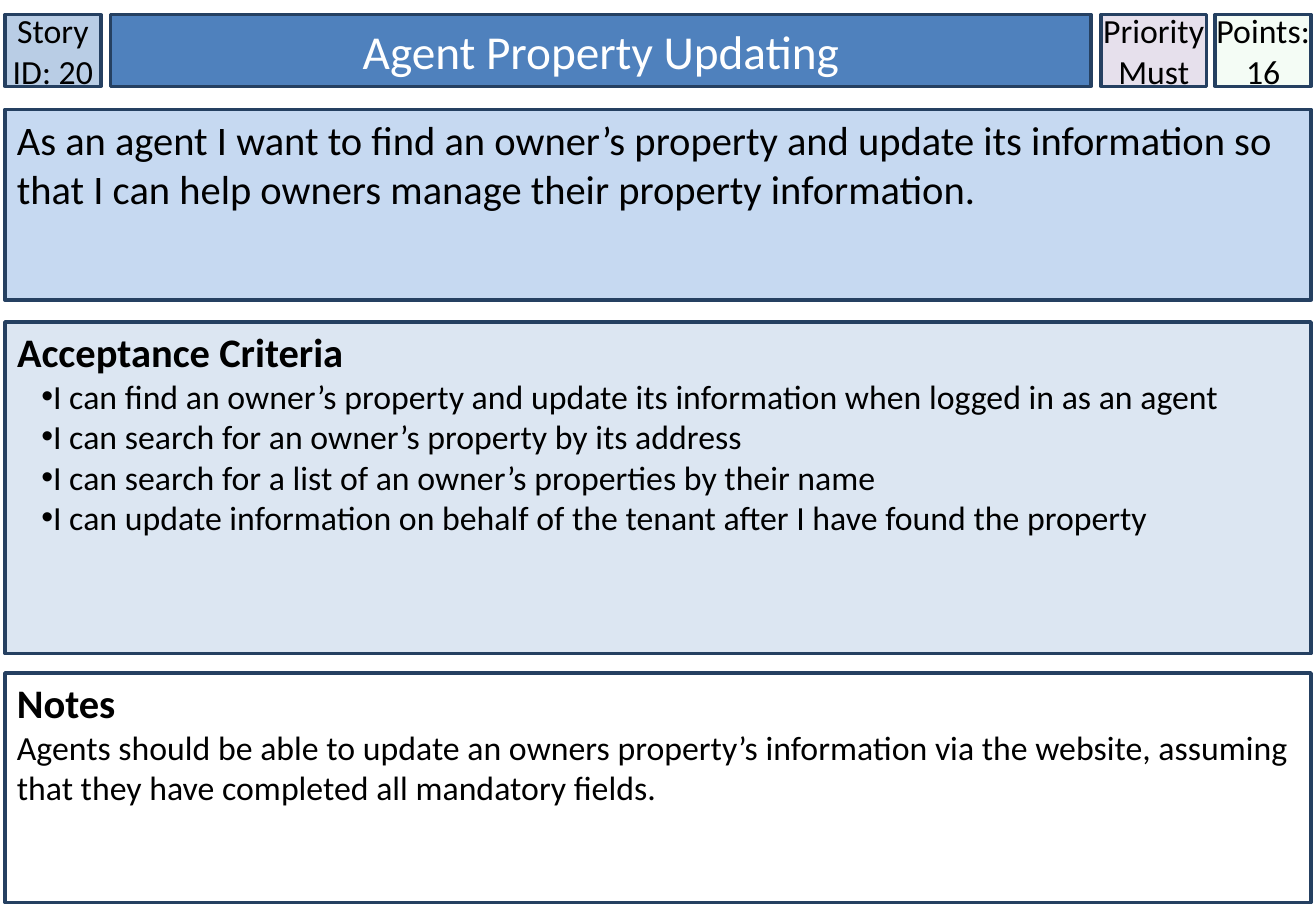
"""Build a user story card as a single slide."""
import pptx
import pptx.util
import pptx.dml.color
import pptx.enum.shapes
import pptx.enum.text
import pptx.oxml.ns
import lxml.etree

Inches = pptx.util.Inches
Pt = pptx.util.Pt
Align = pptx.enum.text.PP_ALIGN
Anchor = pptx.enum.text.MSO_ANCHOR
qn = pptx.oxml.ns.qn


def color(code):
    return pptx.dml.color.RGBColor.from_string(code)


class Card:
    """Hold the card style and the current slide."""

    font = "Calibri"
    ink = "000000"
    edge = "254061"
    large = 24
    small = 20

    def __init__(self, slide):
        self.slide = slide

    def frame(self, shape, place, fill, alpha=None):
        shape.left, shape.top, shape.width, shape.height = map(Inches, place)
        shape.fill.solid()
        shape.fill.fore_color.rgb = color(fill)
        if alpha is not None:
            tint = shape.fill._xPr.find(qn("a:solidFill"))[0]
            lxml.etree.SubElement(tint, qn("a:alpha"), val=str(alpha * 1000))
        shape.line.color.rgb = color(self.edge)
        shape.line.width = Pt(2)

    def box(self, place, fill, alpha=None):
        kind = pptx.enum.shapes.MSO_SHAPE.RECTANGLE
        shape = self.slide.shapes.add_shape(kind, *map(Inches, place))
        shape.shadow.inherit = False
        self.frame(shape, place, fill, alpha)
        return shape

    def setup(self, shape, side=0.1, top=0.05, anchor=Anchor.TOP, wrap=True):
        text = shape.text_frame
        text.auto_size = pptx.enum.text.MSO_AUTO_SIZE.NONE
        text.word_wrap = wrap
        text.vertical_anchor = anchor
        text.margin_left = text.margin_right = Inches(side)
        text.margin_top, text.margin_bottom = Inches(top), Inches(0.05)

    def label(self, shape, lines, size, align=Align.LEFT, ink=ink):
        shape.text_frame.text = "\n".join(lines)
        for line in shape.text_frame.paragraphs:
            line.alignment = align
            line.space_before = line.space_after = Pt(0)
            line.line_spacing = 1.0
            line.font.name = self.font
            line.font.size = Pt(size)
            line.font.bold = False
            line.font.color.rgb = color(ink)

    def bullet(self, line, mark):
        props = line._p.get_or_add_pPr()
        props.set("marL", str(Inches(0.2 if mark else 0)))
        props.set("indent", "0")
        style = props.find(qn("a:defRPr"))
        if mark:
            font = props.makeelement(qn("a:buFont"), {"typeface": "Arial"})
            style.addprevious(font)
            sign = props.makeelement(qn("a:buChar"), {"char": "•"})
        else:
            sign = props.makeelement(qn("a:buNone"), {})
        style.addprevious(sign)

    def title(self, place, fill, words):
        shape = self.slide.shapes.title
        self.frame(shape, place, fill)
        self.setup(shape, anchor=Anchor.MIDDLE)
        self.label(shape, [words], 28, Align.CENTER, "FFFFFF")

    def badge(self, place, fill, lines, alpha=None, wrap=True):
        shape = self.box(place, fill, alpha)
        self.setup(shape, side=0, anchor=Anchor.MIDDLE, wrap=wrap)
        self.label(shape, lines, self.small, Align.CENTER)

    def story(self, place, fill, words):
        shape = self.box(place, fill)
        self.setup(shape)
        self.label(shape, [words], self.large)

    def panel(self, shape, head, lines):
        self.setup(shape, top=0.04)
        self.label(shape, [head, *lines], self.small)
        first = shape.text_frame.paragraphs[0]
        first.font.size = Pt(self.large)
        first.font.bold = True

    def checks(self, place, fill, head, items):
        shape = self.slide.placeholders[1]
        self.frame(shape, place, fill)
        self.panel(shape, head, items)
        for rank, line in enumerate(shape.text_frame.paragraphs):
            self.bullet(line, rank > 0)

    def notes(self, place, fill, head, words):
        self.panel(self.box(place, fill), head, [words])


deck = pptx.Presentation()
deck.slide_width, deck.slide_height = Inches(10.83), Inches(7.5)
card = Card(deck.slides.add_slide(deck.slide_layouts[1]))

left, wide = 0.04, 10.75
top, high = 0.12, 0.59

card.badge((left, top, 0.79, high), "B9CDE5", ["Story ID: 20"])
card.title((0.91, top, 8.07, high), "4F81BD", "Agent Property Updating")
card.badge((9.06, top, 0.87, high), "E6E0EC", ["Priority", "Must"], wrap=False)
card.badge((10, top, 0.79, high), "CCF0CD", ["Points:", "16"], alpha=20)
card.story(
    (left, 0.9, wide, 1.57), "C6D9F1",
    "As an agent I want to find an owner’s property and update its "
    "information so that I can help owners manage their property information.")
card.checks(
    (left, 2.65, wide, 2.73), "DCE6F2", "Acceptance Criteria",
    ["I can find an owner’s property and update its information "
     "when logged in as an agent",
     "I can search for an owner’s property by its address",
     "I can search for a list of an owner’s properties by their name",
     "I can update information on behalf of the tenant "
     "after I have found the property"])
card.notes(
    (left, 5.54, wide, 1.89), "FFFFFF", "Notes",
    "Agents should be able to update an owners property’s information via "
    "the website, assuming that they have completed all mandatory fields.")

deck.save("out.pptx")
